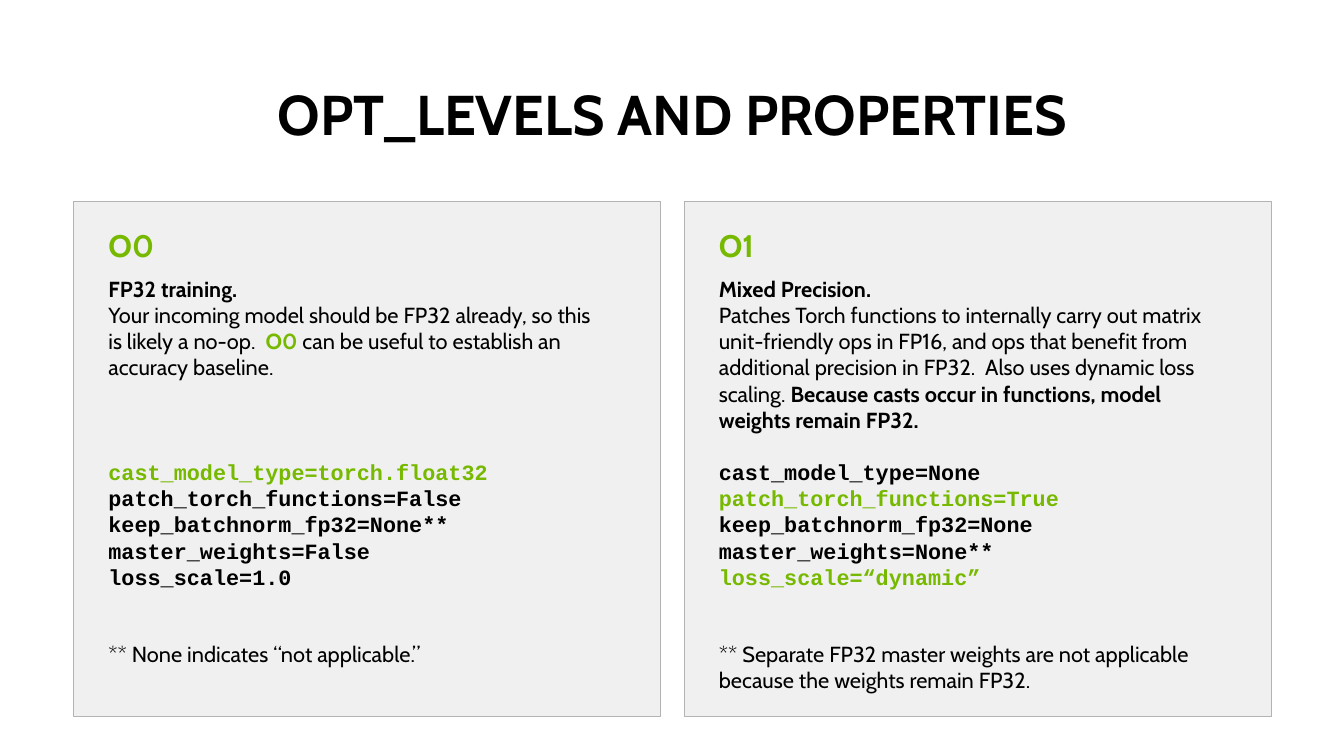
"""Build a slide with two cards that compare optimization levels and their properties."""
from pptx import Presentation, util as u
from pptx.dml.color import RGBColor
from pptx.enum import shapes, text

TITLE = "OPT_LEVELS AND PROPERTIES"
CARDS = [
    {
        "head": "O0",
        "tall": 3.64,
        "gap": 3,
        "lead": "FP32 training.",
        "prose": [
            ("Your incoming model should be FP32 already, so this is likely a no-op.  ", "plain"),
            ("O0", "key"),
            (" can be useful to establish an accuracy baseline.", "plain"),
        ],
        "code": [
            ("cast_model_type=torch.float32", "hot"),
            ("patch_torch_functions=False", "code"),
            ("keep_batchnorm_fp32=None**", "code"),
            ("master_weights=False", "code"),
            ("loss_scale=1.0", "code"),
        ],
        "note": "** None indicates “not applicable.”",
    },
    {
        "head": "O1",
        "tall": 4.11,
        "gap": 1,
        "lead": "Mixed Precision.",
        "prose": [
            ("Patches Torch functions to internally carry out matrix unit-friendly ops in FP16, "
             "and ops that benefit from additional precision in FP32.  Also uses dynamic loss "
             "scaling. ", "plain"),
            ("Because casts occur in functions, model weights remain FP32.", "bold"),
        ],
        "code": [
            ("cast_model_type=None", "code"),
            ("patch_torch_functions=True", "hot"),
            ("keep_batchnorm_fp32=None", "code"),
            ("master_weights=None**", "code"),
            ("loss_scale=“dynamic”", "hot"),
        ],
        "note": "** Separate FP32 master weights are not applicable "
                "because the weights remain FP32.",
    },
]

THEME = {
    "black": RGBColor.from_string("000000"),
    "green": RGBColor.from_string("76B900"),
    "panel": RGBColor.from_string("F0F0F0"),
    "edge": RGBColor.from_string("B3B3B3"),
    "sans": "Cabin",
    "mono": "Courier New",
    "line": 16.85,
}
STYLES = {
    "title": ("sans", 36, "black", True),
    "head": ("sans", 20, "green", True),
    "plain": ("sans", 14, "black", False),
    "bold": ("sans", 14, "black", True),
    "key": ("sans", 14, "green", True),
    "code": ("mono", 14, "black", True),
    "hot": ("mono", 14, "green", True),
}
GRID = {"left": 0.66, "top": 1.8, "wide": 5.24, "tall": 4.6, "step": 5.45}
INSET = {"left": 0.21, "head": 0.21, "body": 0.61, "wide": 4.63}


def assign(item, values):
    for name, value in values.items():
        setattr(item, name, value)


def write(para, runs, split=False, **form):
    assign(para, form)
    for i, (words, style) in enumerate(runs):
        if split and i:
            para.add_line_break()
        run = para.add_run()
        run.text = words
        face, size, color, bold = STYLES[style]
        assign(run.font, {"name": THEME[face], "size": u.Pt(size), "bold": bold})
        run.font.color.rgb = THEME[color]


def add_box(slide, left, top, tall, anchor):
    box = slide.shapes.add_textbox(*map(u.Inches, (left, top, INSET["wide"], tall)))
    assign(box.text_frame, {
        "word_wrap": True,
        "vertical_anchor": anchor,
        "auto_size": text.MSO_AUTO_SIZE.SHAPE_TO_FIT_TEXT,
    })
    return box.text_frame


def add_card(slide, col, card):
    left, top = GRID["left"] + col * GRID["step"], GRID["top"]
    panel = slide.shapes.add_shape(
        shapes.MSO_SHAPE.RECTANGLE,
        *map(u.Inches, (left, top, GRID["wide"], GRID["tall"])))
    panel.shadow.inherit = False
    panel.fill.solid()
    panel.fill.fore_color.rgb = THEME["panel"]
    panel.line.color.rgb = THEME["edge"]
    panel.line.width = u.Pt(0.75)

    left += INSET["left"]
    head = add_box(slide, left, top + INSET["head"], 0.4, text.MSO_ANCHOR.BOTTOM)
    write(head.paragraphs[0], [(card["head"], "head")], line_spacing=0.9)

    body = add_box(slide, left, top + INSET["body"], card["tall"], text.MSO_ANCHOR.TOP)
    parts = [
        ([(card["lead"], "bold")], False, 0),
        (card["prose"], False, 0),
        (card["code"], True, card["gap"]),
        ([(card["note"], "plain")], False, 1.95),
    ]
    for i, (runs, split, gap) in enumerate(parts):
        para = body.add_paragraph() if i else body.paragraphs[0]
        write(para, runs, split, line_spacing=u.Pt(THEME["line"]),
              space_before=u.Pt(gap * THEME["line"]))


def main():
    deck = Presentation()
    assign(deck, {"slide_width": u.Inches(12), "slide_height": u.Inches(6.75)})
    slide = deck.slides.add_slide(deck.slide_layouts[5])
    title = slide.shapes.title
    spot = zip(("left", "top", "width", "height"), map(u.Inches, (0.55, 0.72, 10.91, 0.65)))
    assign(title, dict(spot))
    assign(title.text_frame, {
        "word_wrap": True,
        "vertical_anchor": text.MSO_ANCHOR.BOTTOM,
        "auto_size": text.MSO_AUTO_SIZE.NONE,
    })
    write(title.text_frame.paragraphs[0], [(TITLE, "title")],
          line_spacing=0.9, alignment=text.PP_ALIGN.CENTER)
    for col, card in enumerate(CARDS):
        add_card(slide, col, card)
    deck.save("out.pptx")


if __name__ == "__main__":
    main()
